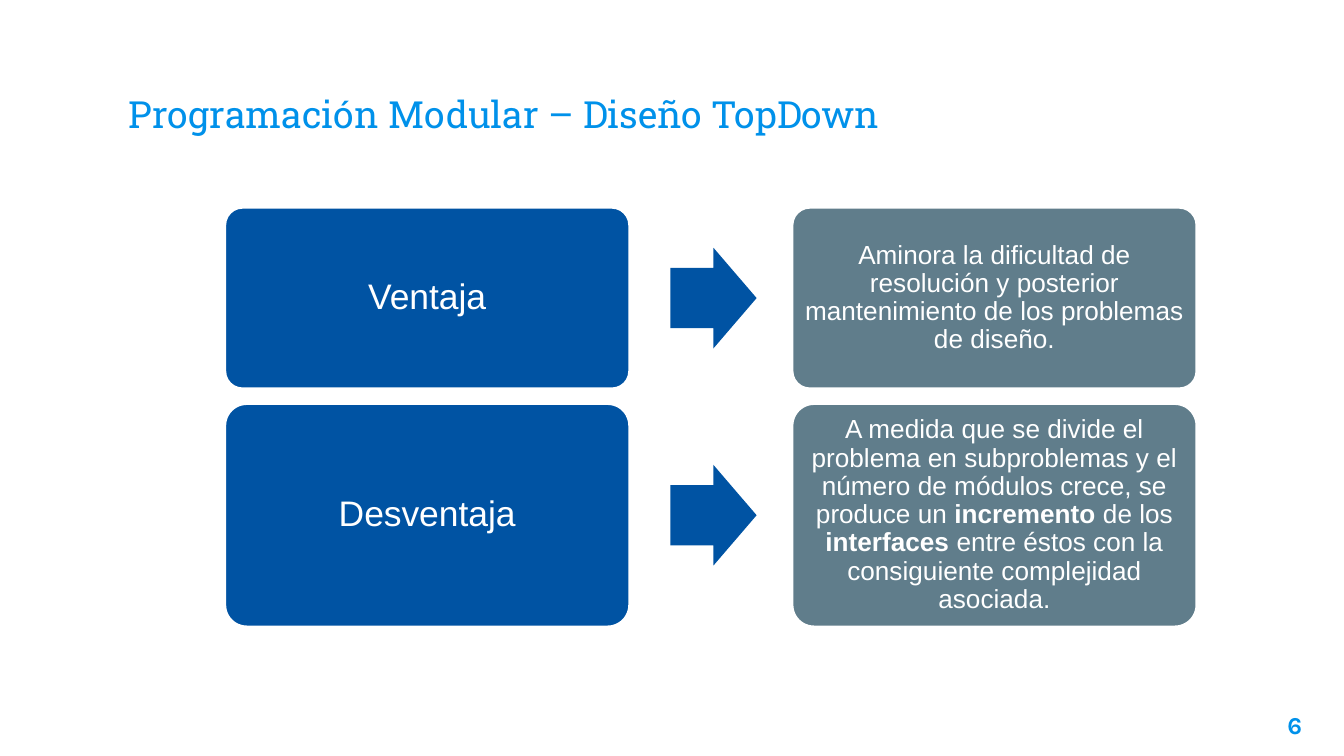
import pptx
import pptx.util
import pptx.dml.color
import pptx.enum.shapes
import pptx.enum.text

Cm = pptx.util.Cm
Pt = pptx.util.Pt
Kind = pptx.enum.shapes.MSO_SHAPE
Side = pptx.enum.text.PP_ALIGN
Hold = pptx.enum.text.MSO_ANCHOR


def tint(code):
    return pptx.dml.color.RGBColor.from_string(code)


class Deck:
    sky, navy, slate, white = "0091EA", "0053A3", "607D8B", "FFFFFF"

    def __init__(self):
        self.file = pptx.Presentation()
        self.file.slide_width = Cm(25.4)
        self.file.slide_height = Cm(14.29)
        self.slide = self.file.slides.add_slide(self.file.slide_layouts[5])

    def label(self, shape, runs, size, font, color, side, hold, inset):
        frame = shape.text_frame
        frame.word_wrap = True
        frame.auto_size = pptx.enum.text.MSO_AUTO_SIZE.NONE
        frame.vertical_anchor = hold
        frame.margin_left = frame.margin_right = Cm(inset)
        frame.margin_top = frame.margin_bottom = Cm(inset)
        para = frame.paragraphs[0]
        para.alignment = side
        for text, bold in runs:
            run = para.add_run()
            run.text = text
            run.font.name = font
            run.font.size = Pt(size)
            run.font.bold = bold
            run.font.color.rgb = tint(color)
        return para

    def title(self, text):
        shape = self.slide.shapes.title
        shape.left, shape.top = Cm(2.18), Cm(0.86)
        shape.width, shape.height = Cm(21.03), Cm(1.96)
        self.label(shape, [(text, False)], 20, "Roboto Slab", self.sky,
                   Side.LEFT, Hold.BOTTOM, 0.25)

    def number(self, text):
        shape = self.slide.shapes.add_textbox(Cm(23.34), Cm(13.18), Cm(1.52), Cm(1.09))
        self.label(shape, [(text, True)], 13, "Karla", self.sky,
                   Side.RIGHT, Hold.TOP, 0.25)

    def shape(self, kind, left, top, width, height, fill):
        shape = self.slide.shapes.add_shape(kind, Cm(left), Cm(top), Cm(width), Cm(height))
        shape.shadow.inherit = False
        shape.fill.solid()
        shape.fill.fore_color.rgb = tint(fill)
        shape.line.fill.background()
        return shape

    def card(self, left, top, height, fill, runs, size, inset):
        shape = self.shape(Kind.ROUNDED_RECTANGLE, left, top, 7.67, height, fill)
        shape.adjustments[0] = 0.1
        shape.line.color.rgb = tint(self.white)
        shape.line.width = Pt(2)
        para = self.label(shape, runs, size, "Arial", self.white,
                          Side.CENTER, Hold.MIDDLE, inset)
        para.line_spacing = 0.9

    def arrow(self, left, mid):
        high = 1.9
        shape = self.shape(Kind.RIGHT_ARROW, left, mid - high / 2, 1.63, high, self.navy)
        shape.adjustments[0] = 0.6
        shape.adjustments[1] = 0.5

    def row(self, top, height, name, runs):
        self.card(4.24, top, height, self.navy, [(name, False)], 19, 0.2)
        self.arrow(12.67, top + height / 2)
        self.card(14.96, top, height, self.slate, runs, 14, 0.15)


def main():
    deck = Deck()
    deck.title("Programación Modular – Diseño TopDown")
    deck.number("6")
    deck.row(3.91, 3.45, "Ventaja", [
        ("Aminora la dificultad de resolución y posterior mantenimiento "
         "de los problemas de diseño.", False),
    ])
    deck.row(7.62, 4.24, "Desventaja", [
        ("A medida que se divide el problema en subproblemas y el número "
         "de módulos crece, se produce un ", False),
        ("incremento", True),
        (" de los ", False),
        ("interfaces", True),
        (" entre éstos con la consiguiente complejidad asociada.", False),
    ])
    deck.file.save("out.pptx")


if __name__ == "__main__":
    main()
